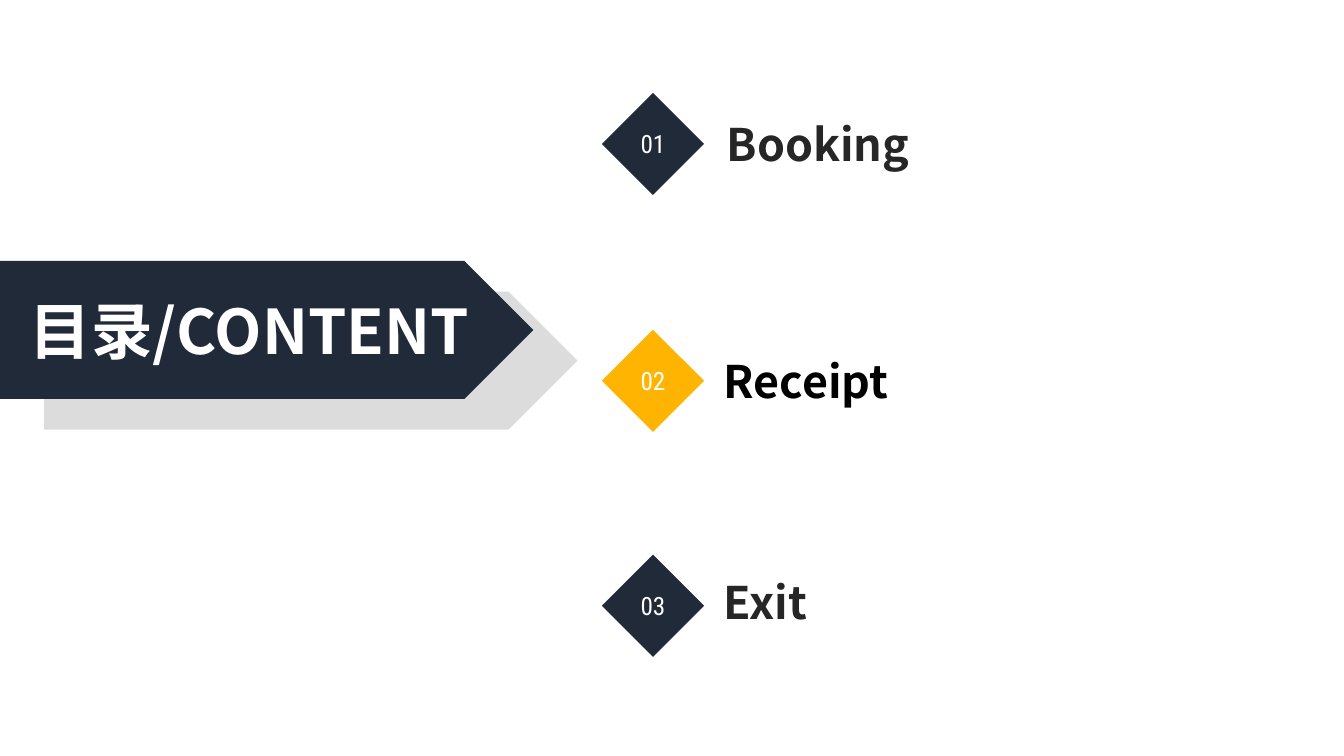
from lxml import etree
from pptx import Presentation
from pptx import util as u
from pptx.dml.color import RGBColor
from pptx.enum import shapes, text
from pptx.oxml.ns import qn

COLORS = {"navy": "212A39", "amber": "FFB401", "shade": "0D0D0D",
          "white": "FFFFFF", "black": "000000", "ink": "262626"}
SANS, CONDENSED = "Noto Sans CJK SC", "Roboto Condensed"
TITLE = {"size": u.Pt(44), "bold": True, "name": SANS}
NUMBER = {"size": u.Pt(18), "name": CONDENSED}
LABEL = {"size": u.Pt(32), "bold": True, "name": SANS}
MIDDLE = {"vertical_anchor": text.MSO_ANCHOR.MIDDLE}
TIGHT = {"margin_left": 0, "margin_right": 0, "margin_top": 0,
         "margin_bottom": 0, "word_wrap": False}


def add_text(sp, words, font, color, frame, align=None):
    """Write one formatted line into a shape."""
    tf = sp.text_frame
    for key, value in frame.items():
        setattr(tf, key, value)
    p = tf.paragraphs[0]
    p.alignment = align
    r = p.add_run()
    r.text = words
    for key, value in font.items():
        setattr(r.font, key, value)
    r.font.color.rgb = RGBColor.from_string(COLORS[color])
    latin = r.font._element.find(qn("a:latin"))
    ea = etree.Element(qn("a:ea"), typeface=font["name"])
    latin.addnext(ea)


def add_block(slide, kind, box, color, alpha=None):
    """Add a filled shape without line or shadow."""
    sp = slide.shapes.add_shape(kind, *map(u.Pt, box))
    sp.shadow.inherit = False
    sp.line.fill.background()
    sp.fill.solid()
    sp.fill.fore_color.rgb = RGBColor.from_string(COLORS[color])
    if alpha is not None:
        clr = sp._element.spPr.find(".//" + qn("a:srgbClr"))
        etree.SubElement(clr, qn("a:alpha"), val=str(alpha * 1000))
    return sp


def add_banner(slide, left, top, width, height):
    """Place the title arrow over its offset shade."""
    kind = shapes.MSO_SHAPE.PENTAGON
    add_block(slide, kind, (left + 31.5, top + 22, width, height), "shade", 14)
    sp = add_block(slide, kind, (left, top, width, height), "navy")
    add_text(sp, "目录/CONTENT", TITLE, "white", MIDDLE, text.PP_ALIGN.CENTER)


def add_entry(slide, left, top, size, number, label, fill, ink, offset, width):
    """Place a numbered diamond with its label to the right."""
    sp = add_block(slide, shapes.MSO_SHAPE.DIAMOND, (left, top, size, size), fill)
    add_text(sp, number, NUMBER, "white", MIDDLE | TIGHT, text.PP_ALIGN.CENTER)
    dx, dy = offset
    box = (left + dx, top + dy, width, 46)
    tb = slide.shapes.add_textbox(*map(u.Pt, box))
    add_text(tb, label, LABEL, ink, {"word_wrap": True})


def add_contents(slide):
    """Lay out the contents slide."""
    add_banner(slide, 0, 186.4, 381, 98.6)
    entries = [
        (66.3, "Booking", "navy", "ink", (82, 13.6), 298),
        (235.5, "Receipt", "amber", "black", (80, 13.6), 366),
        (396.2, "Exit", "navy", "ink", (80, 10.6), 298),
    ]
    for i, (top, *entry) in enumerate(entries, 1):
        add_entry(slide, 429.9, top, 73, f"{i:02}", *entry)


def main():
    """Build and save the presentation."""
    prs = Presentation()
    prs.slide_width, prs.slide_height = u.Pt(960), u.Pt(540)
    add_contents(prs.slides.add_slide(prs.slide_layouts[6]))
    prs.save("out.pptx")


if __name__ == "__main__":
    main()
